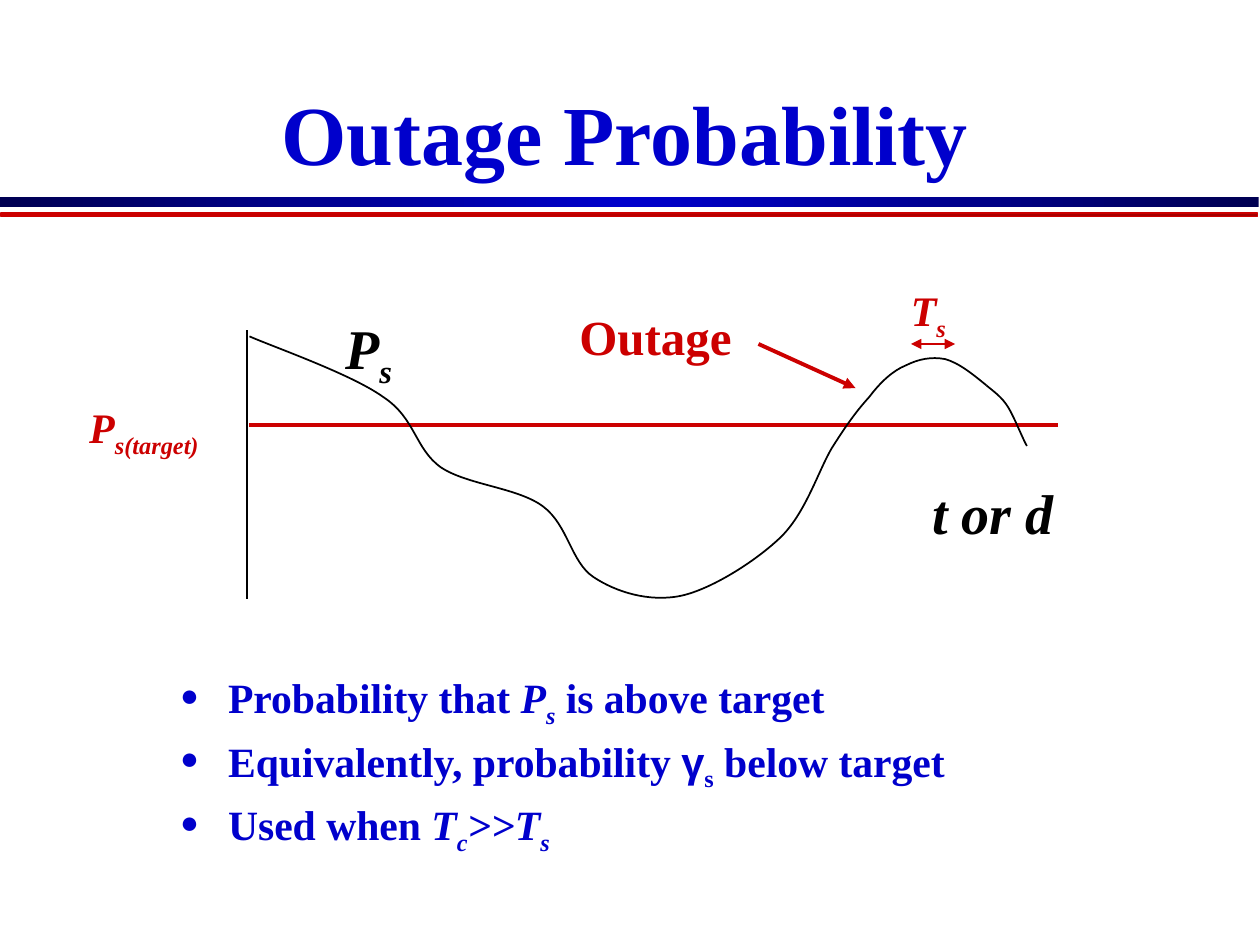
from lxml import etree
from pptx import Presentation
from pptx.dml.color import RGBColor
from pptx.enum.shapes import MSO_CONNECTOR, MSO_SHAPE
from pptx.enum.text import MSO_ANCHOR, MSO_AUTO_SIZE, PP_ALIGN
from pptx.oxml.ns import qn
from pptx.util import Inches, Pt

STRAIGHT = MSO_CONNECTOR.STRAIGHT
RECTANGLE = MSO_SHAPE.RECTANGLE
BOTTOM, TOP = MSO_ANCHOR.BOTTOM, MSO_ANCHOR.TOP
NO_FIT, GROW = MSO_AUTO_SIZE.NONE, MSO_AUTO_SIZE.SHAPE_TO_FIT_TEXT
LEFT, CENTER = PP_ALIGN.LEFT, PP_ALIGN.CENTER

THEME = {
    "font": "Times New Roman", "greek_font": "Arial",
    "blue": "0000CC", "navy": "000052", "red": "CC0000", "dark_red": "A30000", "black": "000000",
    "title": 48, "body": 23.8, "axis": 32, "outage": 28, "label": 24,
    "space_before": 7, "line_spacing": 0.9,
}

# A run is (text, marks): i italic, s subscript, g Greek font
TITLE = [("Outage Probability", "")]
BULLETS = [
    [("Probability that ", ""), ("P", "i"), ("s", "is"), (" is above target", "")],
    [("Equivalently, probability ", ""), ("γ", "g"), ("s", "s"), (" below target", "")],
    [("Used when ", ""), ("T", "i"), ("c", "is"), (">>T", "i"), ("s", "is")],
]
# runs, box (left, top, width, height), size, colour, wrap
LABELS = [
    ([("P", "i"), ("s", "is")], (2.64, 2.44, 0.62, 0.71), "axis", "black", False),
    ([("P", "i"), ("s(target)", "is")], (0.61, 3.14, 1.28, 0.56), "label", "red", False),
    ([("Outage", "")], (4.5, 2.38, 1.64, 0.57), "outage", "red", True),
    ([("T", "i"), ("s", "is")], (7.13, 2.21, 0.51, 0.56), "label", "red", False),
    ([("t or d", "i")], (7.3, 3.75, 1.44, 0.64), "axis", "black", False),
]
# start, end, colour, width, arrowheads
LINES = [
    ((1.96, 2.62), (1.96, 4.75), "black", 1, ()),
    ((1.98, 3.37), (8.4, 3.37), "red", 2.25, ()),
    ((6.02, 2.73), (6.79, 3.08), "red", 2.25, ("tailEnd",)),
    ((7.23, 2.73), (7.58, 2.73), "red", 1.5, ("headEnd", "tailEnd")),
]
# box, gradient stops, outline
RULES = [
    ((0, 1.56, 9.99, 0.08), [(0, "navy"), (50, "blue"), (100, "navy")], None),
    ((0.01, 1.69, 9.97, 0.03), [(0, "red"), (100, "dark_red")], "red"),
]
# Bézier chains: a start point, then two handles and an end point per segment
SIGNAL_CURVES = [
    [(7.83, 3.06),
     (7.72, 2.97), (7.61, 2.88), (7.5, 2.85),
     (7.39, 2.83), (7.29, 2.85), (7.19, 2.9),
     (7.09, 2.94), (6.99, 3.03), (6.9, 3.15),
     (6.8, 3.26), (6.72, 3.37), (6.6, 3.56),
     (6.49, 3.75), (6.39, 4.08), (6.19, 4.27),
     (5.99, 4.46), (5.64, 4.68), (5.4, 4.73),
     (5.15, 4.78), (4.89, 4.7), (4.71, 4.58),
     (4.53, 4.46), (4.51, 4.17), (4.31, 4.02),
     (4.11, 3.87), (3.71, 3.85), (3.5, 3.71),
     (3.29, 3.56), (3.3, 3.32), (3.04, 3.15),
     (2.79, 2.97), (2.16, 2.75), (1.98, 2.67)],
    [(7.83, 3.06),
     (7.89, 3.11), (7.95, 3.15), (8, 3.23),
     (8.05, 3.31), (8.12, 3.49), (8.15, 3.54)],
]


def color(name):
    return RGBColor.from_string(THEME[name])


def place(shape, box):
    shape.left, shape.top, shape.width, shape.height = map(Inches, box)


def write(paragraph, runs, *, size, color_name, align=LEFT):
    paragraph.alignment = align
    for text, marks in runs:
        run = paragraph.add_run()
        run.text = text
        font = run.font
        font.name = THEME["greek_font" if "g" in marks else "font"]
        font.size, font.bold, font.italic = Pt(THEME[size]), True, "i" in marks
        font.color.rgb = color(color_name)
        if "s" in marks:
            run._r.get_or_add_rPr().set("baseline", "-25000")


def add_bullet(paragraph):
    properties = paragraph._p.get_or_add_pPr()
    properties.set("marL", str(Inches(0.38)))
    properties.set("indent", str(-Inches(0.38)))
    bullet_color = etree.SubElement(properties, qn("a:buClr"))
    etree.SubElement(bullet_color, qn("a:srgbClr"), val=THEME["blue"])
    etree.SubElement(properties, qn("a:buSzPct"), val="75000")
    etree.SubElement(properties, qn("a:buFont"), typeface=THEME["font"])
    etree.SubElement(properties, qn("a:buChar"), char="●")


def add_master_rule(slide, shape_id, box, stops, outline):
    """Draw a gradient bar and move it behind everything on the slide master."""
    shape = slide.shapes.add_shape(RECTANGLE, *map(Inches, box))
    shape.shadow.inherit = False
    shape.fill.gradient()
    shape.fill.gradient_angle = 0
    stop_list = shape._element.spPr.find(qn("a:gradFill")).find(qn("a:gsLst"))
    for old_stop in list(stop_list):
        stop_list.remove(old_stop)
    for position, name in stops:
        stop = etree.SubElement(stop_list, qn("a:gs"), pos=str(position * 1000))
        etree.SubElement(stop, qn("a:srgbClr"), val=THEME[name])
    if outline:
        shape.line.color.rgb = color(outline)
        shape.line.width = Pt(1)
    else:
        shape.line.fill.background()
    shape._element.nvSpPr.cNvPr.set("id", str(shape_id))
    slide.slide_layout.slide_master.shapes._spTree.insert(2, shape._element)


def add_line(slide, start, end, color_name, width, arrowheads):
    connector = slide.shapes.add_connector(STRAIGHT, *map(Inches, start + end))
    connector.line.color.rgb = color(color_name)
    connector.line.width = Pt(width)
    for arrowhead in arrowheads:
        etree.SubElement(connector.line._get_or_add_ln(), qn("a:" + arrowhead), type="triangle")
    etree.SubElement(connector._element.spPr, qn("a:effectLst"))


def add_curve(slide, chain):
    """Build a freeform through the knots, then bend each segment with its handles."""
    builder = slide.shapes.build_freeform(*map(Inches, chain[0]), scale=1.0)
    builder.add_line_segments([tuple(map(Inches, knot)) for knot in chain[3::3]], close=False)
    shape = builder.convert_to_shape()
    segments = list(shape._element.iter(qn("a:lnTo")))
    for index, segment in enumerate(segments):
        bend = etree.Element(qn("a:cubicBezTo"))
        for x, y in chain[3 * index + 1:3 * index + 4]:
            etree.SubElement(bend, qn("a:pt"), x=str(Inches(x) - shape.left),
                             y=str(Inches(y) - shape.top))
        segment.getparent().replace(segment, bend)
    shape.shadow.inherit = False
    shape.fill.background()
    shape.line.color.rgb = color("black")
    shape.line.width = Pt(1)


def add_label(slide, runs, box, size, color_name, wrap):
    frame = slide.shapes.add_textbox(*map(Inches, box)).text_frame
    frame.word_wrap, frame.auto_size = wrap, GROW
    write(frame.paragraphs[0], runs, size=size, color_name=color_name)


def fill_placeholders(slide):
    title, body = slide.shapes.title, slide.placeholders[1]
    place(title, (0.67, 0.25, 8.58, 1.25))
    title.text_frame.vertical_anchor = BOTTOM
    title.text_frame.auto_size = NO_FIT
    write(title.text_frame.paragraphs[0], TITLE, size="title", color_name="blue", align=CENTER)

    place(body, (1.33, 5.29, 7.52, 1.56))
    frame = body.text_frame
    frame.vertical_anchor, frame.auto_size = TOP, NO_FIT
    for index, runs in enumerate(BULLETS):
        paragraph = frame.add_paragraph() if index else frame.paragraphs[0]
        add_bullet(paragraph)
        paragraph.line_spacing = THEME["line_spacing"]
        paragraph.space_before = Pt(THEME["space_before"] if index else 0)
        write(paragraph, runs, size="body", color_name="blue")


def main():
    presentation = Presentation()
    presentation.slide_width, presentation.slide_height = Inches(10), Inches(7.5)
    slide = presentation.slides.add_slide(presentation.slide_layouts[1])
    fill_placeholders(slide)
    for shape_id, rule in enumerate(RULES, start=101):
        add_master_rule(slide, shape_id, *rule)
    for line in LINES:
        add_line(slide, *line)
    for chain in SIGNAL_CURVES:
        add_curve(slide, chain)
    for label in LABELS:
        add_label(slide, *label)
    presentation.save("out.pptx")


if __name__ == "__main__":
    main()
